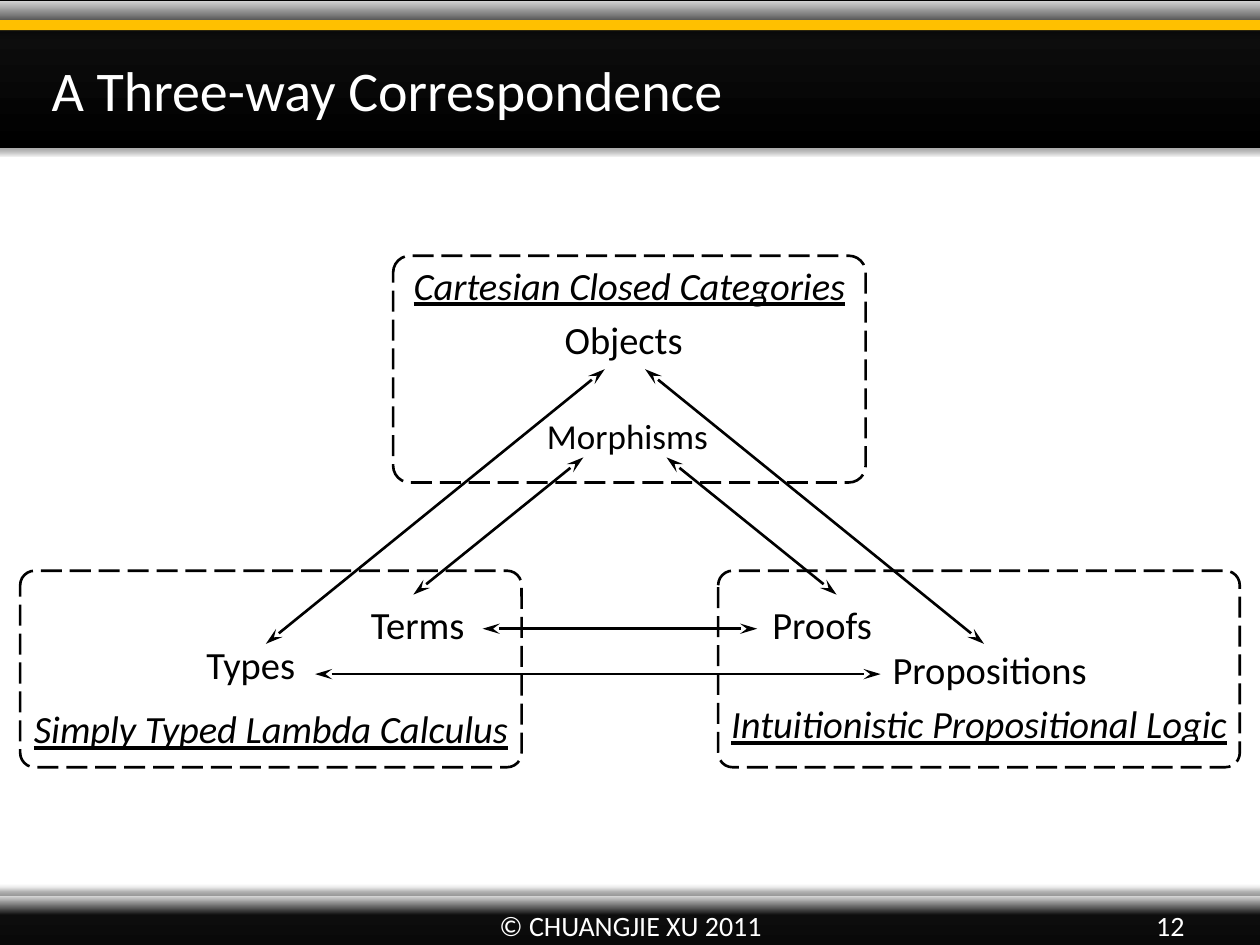
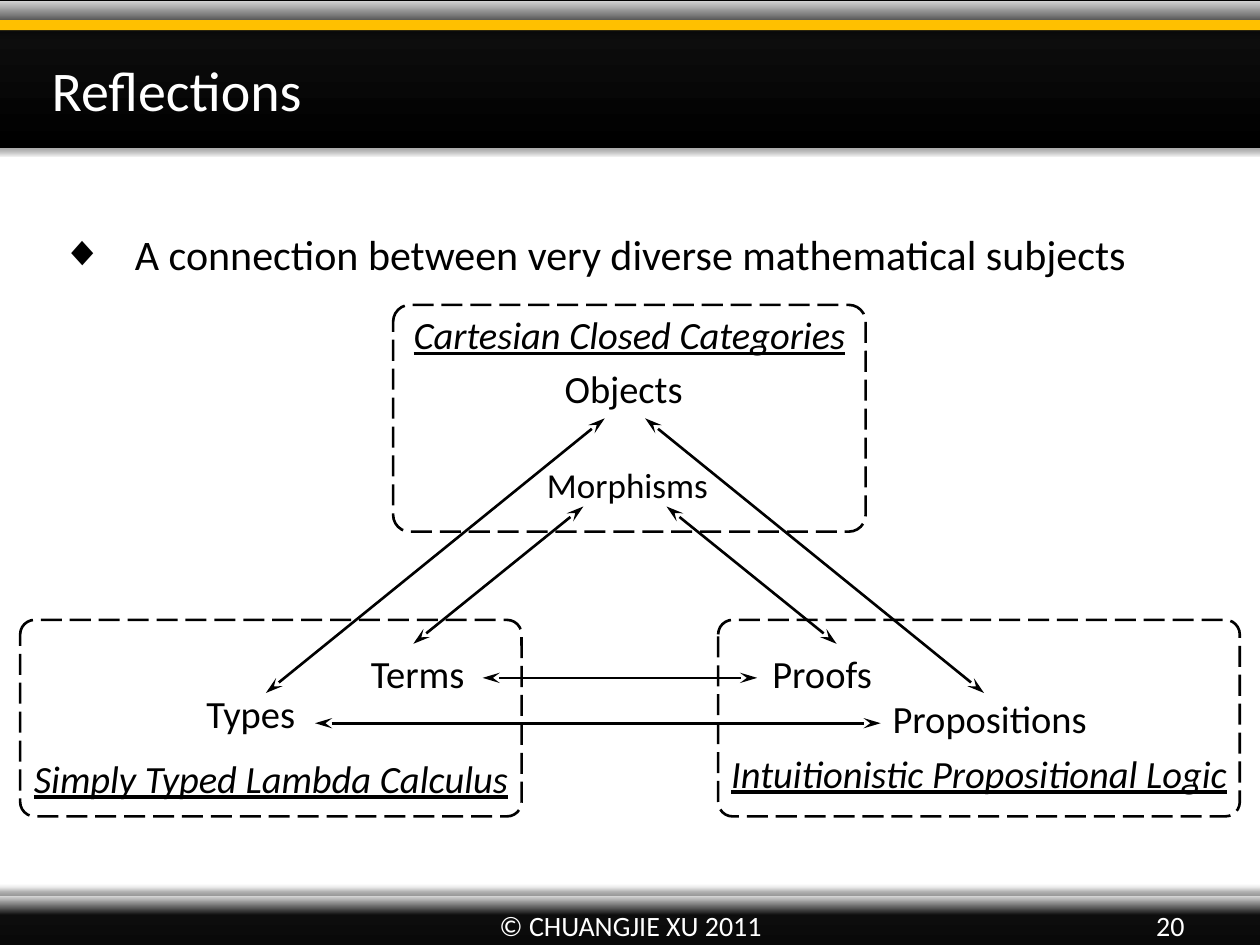
from pptx import Presentation
from pptx.dml.color import RGBColor
from pptx.enum.dml import MSO_LINE
from pptx.enum.shapes import MSO_CONNECTOR, MSO_SHAPE
from pptx.enum.text import MSO_ANCHOR, MSO_AUTO_SIZE, PP_ALIGN
from pptx.oxml import parse_xml
from pptx.oxml.ns import nsdecls
from pptx.util import Emu, Inches, Pt

RECT, ROUND = MSO_SHAPE.RECTANGLE, MSO_SHAPE.ROUNDED_RECTANGLE
LEFT, CENTER, RIGHT = PP_ALIGN.LEFT, PP_ALIGN.CENTER, PP_ALIGN.RIGHT
TOP, MIDDLE = MSO_ANCHOR.TOP, MSO_ANCHOR.MIDDLE
LONG_DASH, STRAIGHT = MSO_LINE.LONG_DASH, MSO_CONNECTOR.STRAIGHT
NO_FIT = MSO_AUTO_SIZE.NONE

FONT = "Calibri"
BLACK, WHITE, GOLD = "000000", "FFFFFF", "FFC000"
GRADIENT = [(0, "D9D9D9"), (22, "0D0D0D"), (100, BLACK)]

prs = Presentation()
prs.slide_width, prs.slide_height = Inches(10), Inches(7.5)
CELL = prs.slide_width // 10


def rgb(color):
    return RGBColor.from_string(color)


def write(sp, text, size=22, color=BLACK, align=CENTER, anchor=TOP,
          wrap=True, italic=False, underline=False):
    tf = sp.text_frame
    tf.auto_size, tf.word_wrap, tf.vertical_anchor = NO_FIT, wrap, anchor
    p = tf.paragraphs[0]
    p.alignment = align
    r = p.add_run()
    r.text = text
    r.font.name, r.font.size = FONT, Pt(size)
    r.font.color.rgb = rgb(color)
    r.font.italic, r.font.underline = italic, underline
    return p


# box, solid fill, outlined, shadow (alpha %, blur pt, distance pt, angle)
bands = [
    ((-0.08, 0, 10.16, 1.17), None, True, (35, 3.1, 1.8, 90)),
    ((-0.23, 0.16, 10.39, 0.08), GOLD, False, (35, 3.1, 1.8, 90)),
    ((-0.08, 7.11, 10.16, 0.7), None, False, (40, 4, 3, 270)),
]
TITLE_BOX = (0.31, 0.39, 7.34, 0.64)
BODY_BOX = (0.39, 1.56, 8.91, 0.64)
NUMBER_BOX = (7.17, 7.14, 2.33, 0.4)
FOOTER_BOX = (3.42, 7.14, 3.17, 0.4)

subjects = [
    ("Cartesian Closed Categories", 3.12, 0, 3.75, 1.8, 0),
    ("Simply Typed Lambda Calculus", 0.16, 2.5, 3.98, 1.56, 1.02),
    ("Intuitionistic Propositional Logic", 5.7, 2.5, 4.14, 1.56, 0.98),
]
notions = [
    ("Objects", 4.3, 0.43, 1.3, 22),
    ("Morphisms", 4.12, 1.21, 1.72, 20),
    ("Types", 1.48, 3.01, 1.02, 22),
    ("Terms", 2.73, 2.69, 1.17, 22),
    ("Proofs", 5.94, 2.69, 1.17, 22),
    ("Propositions", 6.88, 3.05, 1.95, 22),
]
AXIS = 4.96
arrows = [(3.83, 2.96, 6.01, 2.96), (2.5, 3.32, 6.99, 3.32)]
for foot, foot_y, tip, tip_y in [(2.85, 3.08, 0.16, 0.9), (1.68, 2.69, 0.33, 1.6)]:
    for side in (-1, 1):
        arrows.append((AXIS + side * foot, foot_y, AXIS + side * tip, tip_y))

slides = [
    ("A Three-way Correspondence", "12", None, 2.03),
    ("Reflections", "20", "A connection between very diverse mathematical subjects", 2.42),
]

for title, number, point, top in slides:
    s = prs.slides.add_slide(prs.slide_layouts[1 if point else 5])
    shapes = s.shapes
    s.background.fill.solid()
    s.background.fill.fore_color.rgb = rgb(WHITE)

    for box, color, outlined, (alpha, blur, dist, angle) in bands:
        sp = shapes.add_shape(RECT, *[Emu(int(v * CELL)) for v in box])
        sp.shadow.inherit = False
        if outlined:
            sp.line.color.rgb, sp.line.width = rgb(BLACK), Pt(0.75)
        else:
            sp.line.fill.background()
        spPr = sp.element.spPr
        if color:
            sp.fill.solid()
            sp.fill.fore_color.rgb = rgb(color)
        else:
            stops = "".join(
                f'<a:gs pos="{pos * 1000}"><a:srgbClr val="{c}"/></a:gs>'
                for pos, c in GRADIENT)
            spPr.insert(2, parse_xml(
                f'<a:gradFill {nsdecls("a")} rotWithShape="1"><a:gsLst>{stops}</a:gsLst>'
                '<a:lin ang="5400000" scaled="0"/></a:gradFill>'))
        spPr[-1].append(parse_xml(
            f'<a:outerShdw {nsdecls("a")} blurRad="{Pt(blur)}" dist="{Pt(dist)}" '
            f'dir="{angle * 60000}" algn="t" rotWithShape="0">'
            f'<a:srgbClr val="{BLACK}"><a:alpha val="{alpha * 1000}"/></a:srgbClr>'
            '</a:outerShdw>'))

    sp = shapes.title
    sp.left, sp.top, sp.width, sp.height = [Emu(int(v * CELL)) for v in TITLE_BOX]
    write(sp, title, size=32, color=WHITE, align=LEFT)
    shapes.element.append(sp.element)

    for box, text, align in [(NUMBER_BOX, number, RIGHT),
                             (FOOTER_BOX, "© CHUANGJIE XU 2011", CENTER)]:
        sp = shapes.add_textbox(*[Emu(int(v * CELL)) for v in box])
        write(sp, text, size=16, color=WHITE, align=align, anchor=MIDDLE)

    if point:
        sp = s.placeholders[1]
        sp.left, sp.top, sp.width, sp.height = [Emu(int(v * CELL)) for v in BODY_BOX]
        p = write(sp, point, size=24, align=LEFT)
        p.line_spacing, p.space_before = 1.5, Pt(0)
        pPr = p._p.get_or_add_pPr()
        pPr.set("marL", str(Inches(0.58)))
        pPr.set("indent", str(-Inches(0.58)))
        pPr.append(parse_xml(f'<a:buChar {nsdecls("a")} char="◆"/>'))

    for name, x, y, w, h, label_y in subjects:
        frame = [Emu(int(v * CELL)) for v in (x, top + y, w, h)]
        sp = shapes.add_shape(ROUND, *frame)
        sp.shadow.inherit = False
        sp.adjustments[0] = 0.074
        sp.fill.background()
        sp.line.color.rgb, sp.line.width = rgb(BLACK), Pt(1.5)
        sp.line.dash_style = LONG_DASH
        label = [Emu(int(v * CELL)) for v in (x, top + y + label_y, w, 0.47)]
        write(shapes.add_textbox(*label), name, wrap=False, italic=True, underline=True)

    for name, x, y, w, size in notions:
        box = [Emu(int(v * CELL)) for v in (x, top + y, w, 0.47)]
        write(shapes.add_textbox(*box), name, size=size, wrap=False)

    for x1, y1, x2, y2 in arrows:
        ends = [Emu(int(v * CELL)) for v in (x1, top + y1, x2, top + y2)]
        line = shapes.add_connector(STRAIGHT, *ends)
        line.line.color.rgb, line.line.width = rgb(BLACK), Pt(1.5)
        ln = line.line._get_or_add_ln()
        for end in ("headEnd", "tailEnd"):
            ln.append(parse_xml(
                f'<a:{end} {nsdecls("a")} type="stealth" w="med" len="lg"/>'))
        line.element.spPr.append(parse_xml(f'<a:effectLst {nsdecls("a")}/>'))

prs.save("out.pptx")
